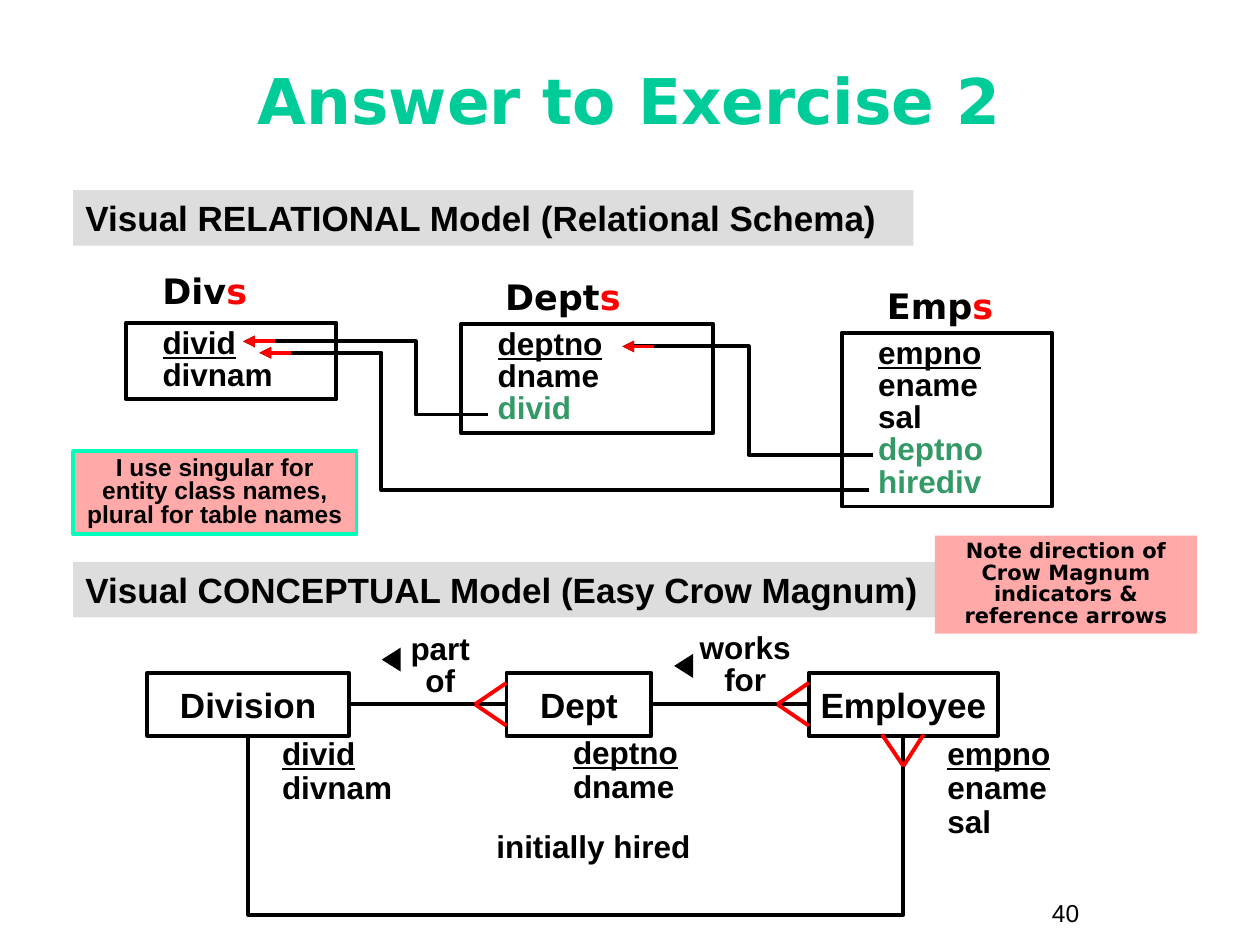
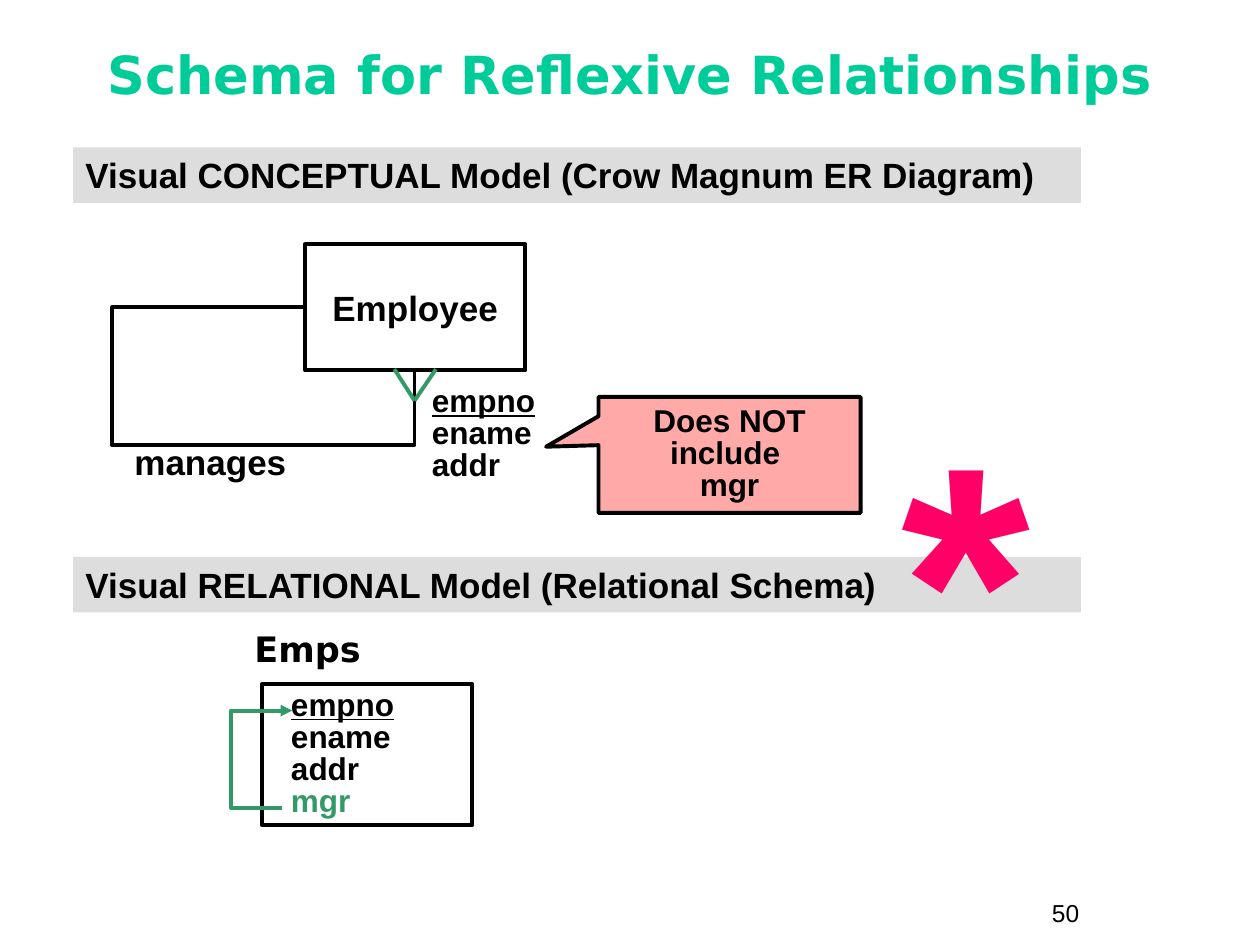
from lxml.etree import SubElement
from pptx import Presentation
from pptx.dml.color import RGBColor
from pptx.enum.shapes import MSO_CONNECTOR, MSO_SHAPE
from pptx.enum.text import MSO_ANCHOR, PP_ALIGN
from pptx.oxml.ns import qn
from pptx.util import Pt

PX = 9144  # 100 px to the inch
COLORS = {
    "title": "00CC99", "ink": "000000", "band": "DDDDDD", "note": "FFA9A9",
    "note edge": "01FFBC", "red": "FF0000", "green": "339966", "star": "FF0066",
}
RGB = {name: RGBColor.from_string(value) for name, value in COLORS.items()}
LEFT, CENTER = PP_ALIGN.LEFT, PP_ALIGN.CENTER
TOP, MIDDLE = MSO_ANCHOR.TOP, MSO_ANCHOR.MIDDLE
HEADING_FONT, BODY_FONT = "DejaVu Sans", "Arial"
LINE_WIDTH = Pt(2.25)


def place(slide, box, lines=(), size=18, color="ink", font=BODY_FONT, bold=True,
          align=LEFT, anchor=TOP, spacing=1.0, fill=None, edge=None, indent=0,
          key=False, foreign=(), wrap=True, kind=MSO_SHAPE.RECTANGLE):
    """Add a box with one paragraph per line; key underlines the first line,
    and the lines named in foreign are green."""
    area = [n * PX for n in box]
    if fill or edge:
        shape = slide.shapes.add_shape(kind, *area)
        shape.shadow.inherit = False
        if fill:
            shape.fill.solid()
            shape.fill.fore_color.rgb = RGB[fill]
        else:
            shape.fill.background()
        if edge:
            shape.line.color.rgb = RGB[edge]
            shape.line.width = LINE_WIDTH
        else:
            shape.line.fill.background()
    else:
        shape = slide.shapes.add_textbox(*area)
    frame = shape.text_frame
    frame.word_wrap = wrap
    frame.vertical_anchor = anchor
    frame.margin_left = (10 + indent) * PX
    frame.margin_right = 10 * PX
    frame.margin_top = frame.margin_bottom = 5 * PX
    for i, line in enumerate(lines):
        paragraph = frame.add_paragraph() if i else frame.paragraphs[0]
        paragraph.text = line
        paragraph.alignment = align
        paragraph.line_spacing = spacing
        paragraph.font.size = Pt(size)
        paragraph.font.name = font
        paragraph.font.bold = bold
        paragraph.font.underline = key and i == 0
        paragraph.font.color.rgb = RGB["green" if line in foreign else color]
    return shape


def connect(slide, start, end, color="ink", bend_x=None, arrow=False):
    """Draw a straight line, or an elbow whose upright part stands at bend_x."""
    kind = MSO_CONNECTOR.STRAIGHT if bend_x is None else MSO_CONNECTOR.ELBOW
    line = slide.shapes.add_connector(kind, *[n * PX for n in (*start, *end)])
    line.line.color.rgb = RGB[color]
    line.line.width = LINE_WIDTH
    properties = line._element.spPr
    SubElement(properties, qn("a:effectLst"))
    if arrow:
        SubElement(properties.find(qn("a:ln")), qn("a:tailEnd"), type="triangle")
    if bend_x is not None:
        share = round(100000 * (bend_x - start[0]) / (end[0] - start[0]))
        SubElement(properties.find(".//" + qn("a:avLst")), qn("a:gd"),
                   name="adj1", fmla=f"val {share}")


deck = Presentation()
deck.slide_width, deck.slide_height = 1000 * PX, 750 * PX
answer, reflexive = [deck.slides.add_slide(deck.slide_layouts[6]) for _ in range(2)]

# Titles, page numbers and grey bands
for slide, title, box, size, page in (
    (answer, "Answer to Exercise 2", (33, 33, 933, 92), 36, "40"),
    (reflexive, "Schema for Reflexive Relationships", (25, 33, 950, 50), 30, "50"),
):
    place(slide, (825, 708, 92, 34), [page], size=14, bold=False)
    place(slide, box, [title], size, "title", HEADING_FONT, align=CENTER, anchor=MIDDLE)

for slide, top, width, heading in (
    (answer, 151, 667, "Visual RELATIONAL Model (Relational Schema)"),
    (answer, 446, 708, "Visual CONCEPTUAL Model (Easy Crow Magnum)"),
    (reflexive, 117, 800, "Visual CONCEPTUAL Model (Crow Magnum ER Diagram)"),
    (reflexive, 442, 800, "Visual RELATIONAL Model (Relational Schema)"),
):
    place(slide, (58, top, width, 44), [heading], size=20, fill="band")

# Entity classes
for slide, entity, box in (
    (answer, "Division", (117, 534, 160, 50)),
    (answer, "Dept", (402, 534, 115, 50)),
    (answer, "Employee", (642, 534, 150, 50)),
    (reflexive, "Employee", (242, 194, 175, 100)),
):
    place(slide, box, [entity], size=20, align=CENTER, anchor=MIDDLE,
          edge="ink", wrap=False)

for slide, box, attributes, spacing in (
    (answer, (214, 581, 144, 64), ["divid", "divnam"], 0.9),
    (answer, (445, 580, 144, 64), ["deptno", "dname"], 0.9),
    (answer, (742, 581, 144, 91), ["empno", "ename", "sal"], 0.9),
    (reflexive, (333, 302, 117, 87), ["empno", "ename", "addr"], 0.85),
):
    place(slide, box, attributes, spacing=spacing, key=True)

# Relationships between the entity classes
for start, end in (((278, 559), (402, 559)), ((518, 559), (642, 559))):
    connect(answer, start, end)

for slide, points in (
    (answer, [(197, 585), (197, 726), (717, 726), (717, 585)]),
    (reflexive, [(241, 244), (89, 244), (89, 353), (329, 353), (329, 295)]),
):
    outline = slide.shapes.build_freeform(*points[0], scale=PX)
    outline.add_line_segments(points[1:], close=False)
    loop = outline.convert_to_shape()
    loop.shadow.inherit = False
    loop.fill.background()
    loop.line.color.rgb = RGB["ink"]
    loop.line.width = LINE_WIDTH

for slide, tip, toes, color in (
    (answer, (617, 559), [(642, 542), (642, 576)], "red"),
    (answer, (377, 559), [(402, 542), (402, 576)], "red"),
    (answer, (717, 608), [(700, 583), (733, 583)], "red"),
    (reflexive, (329, 318), [(313, 293), (346, 293)], "green"),
):
    for toe in toes:
        connect(slide, tip, toe, color)

for box, label in (
    ((266, 499, 167, 61), "part\nof"),
    ((508, 498, 167, 61), "works\nfor"),
    ((342, 656, 258, 36), "initially hired"),
):
    place(answer, box, [label], align=CENTER, spacing=0.85)
place(reflexive, (92, 345, 150, 44), ["manages"], size=20, align=CENTER)

for left, top in ((301, 516), (533, 521)):
    pointer = place(answer, (left, top, 19, 15), fill="ink",
                    kind=MSO_SHAPE.ISOSCELES_TRIANGLE)
    pointer.rotation = 270

# Relational tables
for name, name_box, box, columns, foreign in (
    ("Div", (119, 209, 125, 44), (100, 256, 167, 61), ["divid", "divnam"], ()),
    ("Dept", (391, 214, 215, 44), (366, 257, 200, 87),
     ["deptno", "dname", "divid"], ("divid",)),
    ("Emp", (694, 221, 158, 44), (668, 264, 167, 138),
     ["empno", "ename", "sal", "deptno", "hirediv"], ("deptno", "hirediv")),
):
    heading = place(answer, name_box, [name], size=20, font=HEADING_FONT)
    plural = heading.text_frame.paragraphs[0].add_run()
    plural.text = "s"
    plural.font.color.rgb = RGB["red"]
    place(answer, box, columns, spacing=0.85, edge="ink", indent=19,
          key=True, foreign=foreign)

place(reflexive, (192, 493, 215, 44), ["Emps"], size=20, font=HEADING_FONT)
place(reflexive, (208, 543, 167, 112), ["empno", "ename", "addr", "mgr"],
      spacing=0.85, edge="ink", indent=13, key=True, foreign=("mgr",))

# Reference arrows from foreign key to primary key
for start, end, bend_x in (
    ((690, 389), (206, 280), 303),
    ((693, 361), (494, 275), 594),
    ((387, 329), (193, 271), 330),
):
    connect(answer, start, end, bend_x=bend_x, arrow=True)
    connect(answer, (end[0] + 25, end[1]), end, "red", arrow=True)
connect(reflexive, (224, 641), (232, 564), "green", bend_x=183, arrow=True)

# Remarks
place(answer, (742, 425, 208, 78),
      ["Note direction of Crow Magnum indicators & reference arrows"],
      size=12, font=HEADING_FONT, align=CENTER, spacing=0.85, fill="note")
place(answer, (58, 358, 225, 66),
      ["I use singular for entity class names, plural for table names"],
      size=14, align=CENTER, spacing=0.8, fill="note", edge="note edge")
remark = place(reflexive, (475, 315, 208, 92), ["Does NOT\ninclude \nmgr"],
               align=CENTER, anchor=MIDDLE, spacing=0.85, fill="note", edge="ink",
               kind=MSO_SHAPE.RECTANGULAR_CALLOUT)
remark.adjustments[0], remark.adjustments[1] = -0.7, -0.07
place(reflexive, (700, 323, 133, 294), ["*"], size=189, color="star",
      align=CENTER, spacing=0.9)

deck.save("out.pptx")
